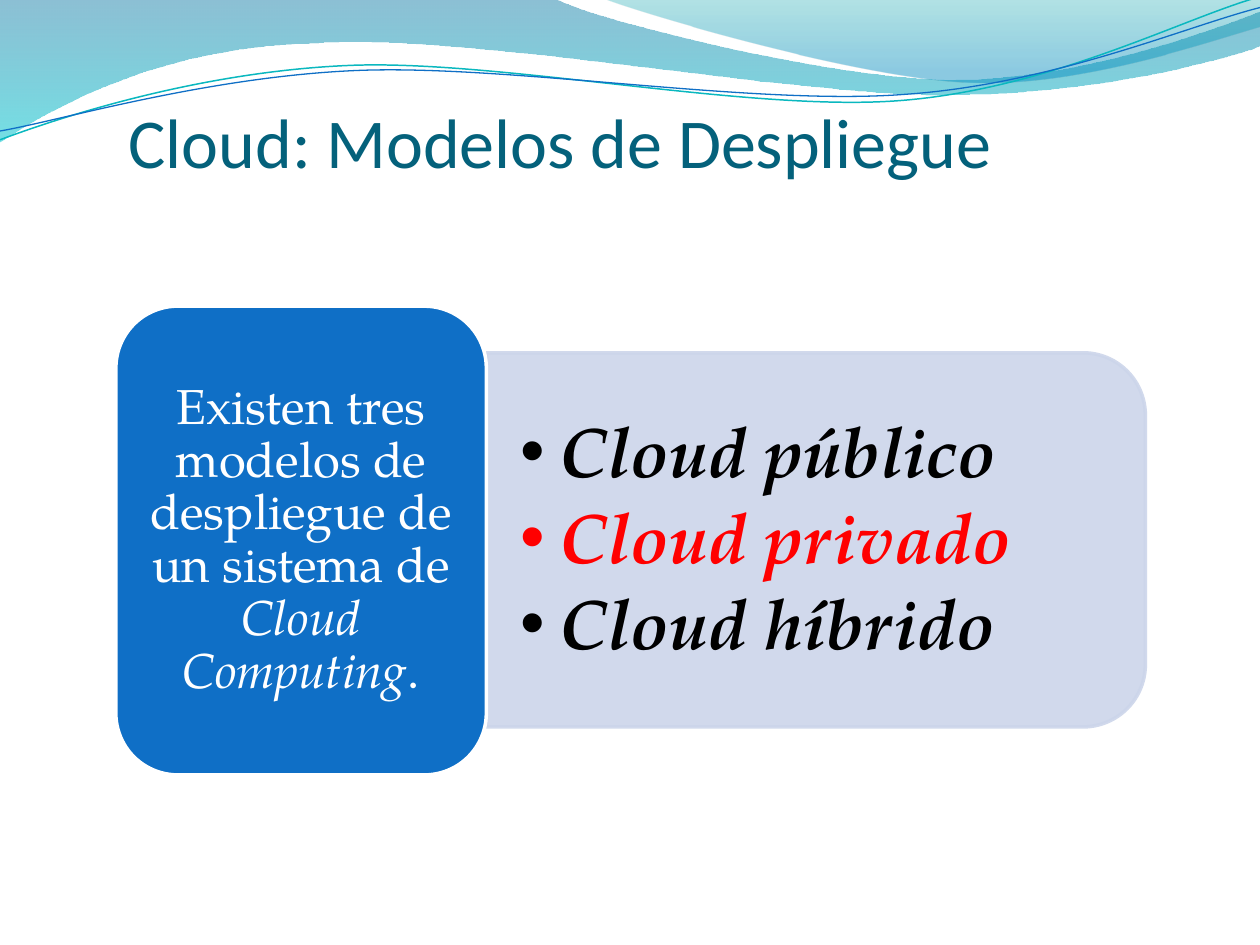
from pptx import Presentation
from pptx.dml import color
from pptx.enum import shapes, text
from pptx.oxml import ns
from pptx.util import Pt
from lxml import etree

COLS, ROWS = 10, 7.5
HEAD, BODY = "Calibri", "TeX Gyre Pagella"
BLUE, PALE, WHITE = "0F6FC6", "CCD5EA", "FFFFFF"


def rgb(code):
    return color.RGBColor.from_string(code)


def fade(props, parts):
    """Give each colour below an element its opacity in percent."""
    for node, part in zip(props.iter(ns.qn("a:srgbClr")), parts):
        etree.SubElement(node, ns.qn("a:alpha")).set("val", str(part * 1000))


def bend(props, parts):
    """Join each three straight steps of a six-number part into one curve."""
    steps = iter(list(props.iter(ns.qn("a:lnTo"))))
    for part in parts:
        nodes = [next(steps) for _ in range(len(part) // 2)]
        if len(nodes) == 3:
            arc = etree.Element(ns.qn("a:cubicBezTo"))
            nodes[0].addprevious(arc)
            for node in nodes:
                arc.append(node[0])
                node.getparent().remove(node)


class Deck:
    def __init__(self):
        self.prs = Presentation()
        self.unit = self.prs.slide_width // COLS
        self.prs.slide_height = int(self.unit * ROWS)
        self.slide = self.prs.slides.add_slide(self.prs.slide_layouts[1])
        self.forms = self.slide.shapes

    def grid(self, *vals):
        return [round(v * self.unit) for v in vals]

    def place(self, shape, box):
        shape.left, shape.top, shape.width, shape.height = self.grid(*box)
        self.forms._spTree.append(shape._element)  # bring to front

    def frame(self, shape, anchor, pads):
        tf = shape.text_frame
        tf.word_wrap = True
        tf.auto_size = text.MSO_AUTO_SIZE.NONE
        tf.vertical_anchor = anchor
        (tf.margin_left, tf.margin_top,
         tf.margin_right, tf.margin_bottom) = self.grid(*pads)
        return tf

    def run(self, para, words, size, face, tint, bold=False, slant=False):
        run = para.add_run()
        run.text = words
        font = run.font
        font.size, font.name, font.bold, font.italic = Pt(size), face, bold, slant
        font.color.rgb = rgb(tint)

    def curve(self, start, parts, stops=None, line=None):
        pts = [self.grid(*part[i:i + 2])
               for part in parts for i in range(0, len(part), 2)]
        pen = self.forms.build_freeform(*self.grid(*start))
        pen.add_line_segments(pts, close=bool(stops))
        shape = pen.convert_to_shape()
        bend(shape._element.spPr, parts)
        shape.shadow.inherit = False
        if stops:
            shape.fill.gradient()
            shape.fill.gradient_angle = 270
            for stop, (pos, tint, _) in zip(shape.fill.gradient_stops, stops):
                stop.position, stop.color.rgb = pos, rgb(tint)
            fade(shape._element.spPr, [s[2] for s in stops])
            shape.line.fill.background()
        else:
            shape.fill.background()
            shape.line.color.rgb, shape.line.width = rgb(line[0]), Pt(line[1])

    def panel(self, kind, box, fill, line, turn=0, alpha=None):
        shape = self.forms.add_shape(kind, *self.grid(*box))
        shape.rotation = turn
        shape.shadow.inherit = False
        shape.fill.solid()
        shape.fill.fore_color.rgb = rgb(fill)
        shape.line.color.rgb, shape.line.width = rgb(line), Pt(2)
        if alpha:
            fade(shape._element.spPr, [alpha, alpha])
        return shape

    def title(self, words, box):
        shape = self.forms.title
        self.place(shape, box)
        tf = self.frame(shape, text.MSO_ANCHOR.BOTTOM, (0, 0.05, 0, 0))
        para = tf.paragraphs[0]
        para.alignment = text.PP_ALIGN.LEFT
        self.run(para, words, 40, HEAD, "04617B")

    def bullets(self, items, box):
        shape = self.slide.placeholders[1]
        self.place(shape, box)
        tf = self.frame(shape, text.MSO_ANCHOR.MIDDLE, (0.27, 0.14, 0.27, 0.14))
        dent = self.grid(0.31)[0]
        for i, (words, tint) in enumerate(items):
            para = tf.add_paragraph() if i else tf.paragraphs[0]
            para.line_spacing, para.space_before, para.space_after = 0.9, Pt(0), Pt(6)
            props = para._p.get_or_add_pPr()
            props.set("marL", str(dent))
            props.set("indent", str(-dent))
            etree.SubElement(props, ns.qn("a:buChar")).set("char", "•")
            self.run(para, words, 40, BODY, tint, True, True)

    def label(self, shape, runs):
        tf = self.frame(shape, text.MSO_ANCHOR.MIDDLE, (0.12, 0.06, 0.12, 0.06))
        para = tf.paragraphs[0]
        para.alignment = text.PP_ALIGN.CENTER
        para.line_spacing = 0.9
        for words, slant in runs:
            self.run(para, words, 28, BODY, WHITE, slant=slant)


def main():
    deck = Deck()

    # Waves along the top edge
    deck.curve((0, 0), [
        (4.4, -0.01), (4.76, 0.17, 6.64, 0.63, 7.58, 0.63),
        (8.53, 0.63, 9.58, 0.26, 10, 0.09), (10.01, 0.36),
        (9.83, 0.44, 8.7, 0.76, 7.46, 0.75), (6.22, 0.75, 3.82, 0.28, 2.57, 0.34),
        (1.29, 0.36, 0.46, 0.83, -0.01, 1.13),
    ], stops=[(0, "0074A1", 45), (1, "00C6CF", 55)])
    deck.curve((4.79, -0.01), [
        (5.09, 0.11, 6.82, 0.62, 7.69, 0.65), (8.56, 0.69, 9.61, 0.32, 10, 0.21),
        (10, 0),
    ], stops=[(0, "00A1A9", 30), (0.8, "008BBF", 45)])

    # Thin lines that follow the waves
    deck.curve((0, 1.11), [
        (0.48, 0.93, 1.58, 0.57, 2.77, 0.52), (3.95, 0.47, 5.93, 0.89, 7.13, 0.8),
        (8.33, 0.71, 9.38, 0.15, 9.98, -0.02),
    ], line=("0AB8BF", 0.85))
    deck.curve((0, 1.04), [
        (0.47, 0.96, 1.64, 0.61, 2.83, 0.56), (4.03, 0.51, 5.97, 0.84, 7.17, 0.75),
        (8.36, 0.67, 9.41, 0.21, 10, 0.06),
    ], line=(BLUE, 0.75))

    deck.title("Cloud: Modelos de Despliegue", (1.02, 0.2, 7.14, 1.25))

    # List of models on the pale panel
    kind = shapes.MSO_SHAPE
    deck.panel(kind.ROUND_2_SAME_RECTANGLE, (4.99, 1.67, 2.97, 5.23),
               PALE, PALE, turn=90, alpha=90)
    deck.bullets([("Cloud público", "000000"), ("Cloud privado", "FF0000"),
                  ("Cloud híbrido", "000000")], (3.86, 2.95, 5.08, 2.68))

    # Blue card with the statement
    card = deck.panel(kind.ROUNDED_RECTANGLE, (0.92, 2.43, 2.94, 3.72), BLUE, WHITE)
    deck.label(card, [("Existen tres modelos de despliegue de un sistema de ", False),
                      ("Cloud Computing", True), (".", False)])

    deck.prs.save("out.pptx")


if __name__ == "__main__":
    main()
